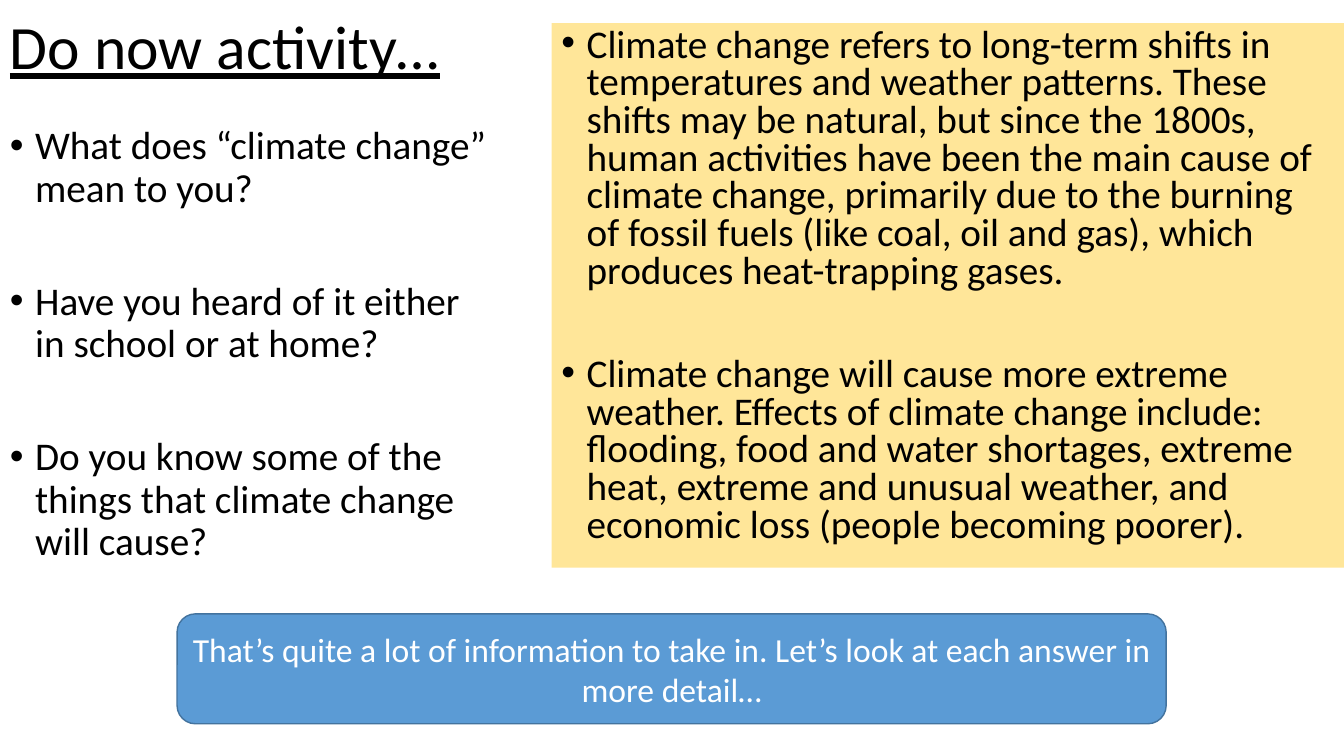
from lxml import etree
from pptx import Presentation
from pptx.dml.color import RGBColor
from pptx.enum.shapes import MSO_SHAPE
from pptx.enum.text import MSO_ANCHOR, PP_ALIGN
from pptx.oxml.ns import qn
from pptx.util import Pt

RECT, ROUND = MSO_SHAPE.RECTANGLE, MSO_SHAPE.ROUNDED_RECTANGLE
TOP, MIDDLE = MSO_ANCHOR.TOP, MSO_ANCHOR.MIDDLE
LEFT, CENTER = PP_ALIGN.LEFT, PP_ALIGN.CENTER
BLACK = RGBColor(0x00, 0x00, 0x00)
WHITE = RGBColor(0xFF, 0xFF, 0xFF)
YELLOW = RGBColor(0xFF, 0xE6, 0x99)
BLUE = RGBColor(0x5B, 0x9B, 0xD5)
NAVY = RGBColor(0x43, 0x73, 0x9E)

# Content
TITLE = ["Do now activity…"]
ASKS = [
    "What does “climate change” mean to you?",
    "Have you heard of it either in school or at home?",
    "Do you know some of the things that climate change will cause?",
]
FACTS = [
    "Climate change refers to long-term shifts in temperatures and weather "
    "patterns. These shifts may be natural, but since the 1800s, human "
    "activities have been the main cause of climate change, primarily due to "
    "the burning of fossil fuels (like coal, oil and gas), which produces "
    "heat-trapping gases.",
    "Climate change will cause more extreme weather. Effects of climate "
    "change include: flooding, food and water shortages, extreme heat, "
    "extreme and unusual weather, and economic loss (people becoming poorer).",
]
NEXT = ["That’s quite a lot of information to take in. "
        "Let’s look at each answer in more detail…"]

# Formats: font values, line spacing, gap between points
BODY = {"name": "Calibri", "size": Pt(28), "color": BLACK}
HEAD = BODY | {"size": Pt(44), "underline": True}
NOTE = BODY | {"size": Pt(24), "color": WHITE}
INDENT = Pt(18)

deck = Presentation()
deck.slide_width, deck.slide_height = Pt(960), Pt(540)
slide = deck.slides.add_slide(deck.slide_layouts[6])


def add_bullet(para):
    props = para._p.get_or_add_pPr()
    props.set("marL", str(INDENT))
    props.set("indent", str(-INDENT))
    etree.SubElement(props, qn("a:buFont")).set("typeface", "Arial")
    etree.SubElement(props, qn("a:buChar")).set("char", "•")


def write(shape, lines, style, space=1.0, gap=0, bullet=False,
          anchor=TOP, align=LEFT):
    frame = shape.text_frame
    frame.word_wrap = True
    frame.vertical_anchor = anchor
    for i, line in enumerate(lines):
        para = frame.paragraphs[0] if i == 0 else frame.add_paragraph()
        if bullet:
            add_bullet(para)
        para.alignment = align
        para.line_spacing = space
        if i:
            para.space_before = Pt(gap)
        run = para.add_run()
        run.text = line
        for key, value in style.items():
            if key == "color":
                run.font.color.rgb = value
            else:
                setattr(run.font, key, value)


def add_text(*box):
    return slide.shapes.add_textbox(*map(Pt, box))


def add_panel(kind, box, fill, line=None):
    panel = slide.shapes.add_shape(kind, *map(Pt, box))
    panel.shadow.inherit = False
    panel.fill.solid()
    panel.fill.fore_color.rgb = fill
    if line is None:
        panel.line.fill.background()
    else:
        panel.line.color.rgb = line
        panel.line.width = Pt(1)
    return panel


# Title and questions
write(add_text(0, 0, 379.5, 71.5), TITLE, HEAD, 0.9, anchor=MIDDLE)
write(add_text(0, 86.5, 358, 342.5), ASKS, BODY, 0.9, 50.5, True)

# Answers
facts = add_panel(RECT, (394, 16.5, 566, 389), YELLOW)
write(facts, FACTS, BODY, 0.8, 47, True)

# Lead-in to the next part
note = add_panel(ROUND, (126.5, 438.5, 706.5, 78.5), BLUE, NAVY)
write(note, NEXT, NOTE, anchor=MIDDLE, align=CENTER)

deck.save("out.pptx")
